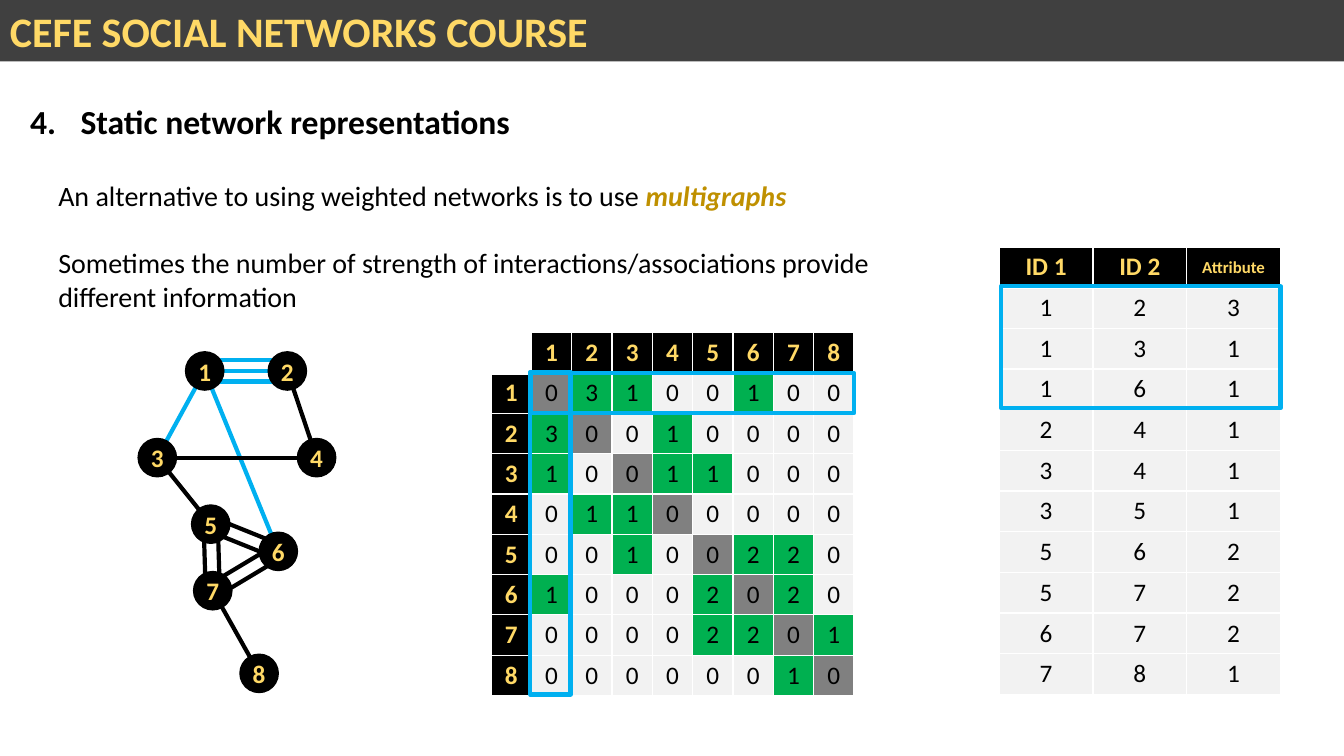
import math

import lxml.etree
import pptx
import pptx.dml.color
import pptx.enum.shapes
import pptx.enum.text
import pptx.oxml.ns
import pptx.util

PX = 9144  # EMU per px, 100 px to the inch
FONT = "Calibri"
BLACK, WHITE, GOLD, BLUE = "000000", "FFFFFF", "FFD966", "00B0F0"
GREEN, GREY, PALE = "00B050", "808080", "F2F2F2"
RECT = pptx.enum.shapes.MSO_SHAPE.RECTANGLE
OVAL = pptx.enum.shapes.MSO_SHAPE.OVAL
CENTER = pptx.enum.text.PP_ALIGN.CENTER
LEFT = pptx.enum.text.PP_ALIGN.LEFT
MIDDLE = pptx.enum.text.MSO_ANCHOR.MIDDLE

# Centre of each network node
NODES = {1: (203, 368), 2: (285, 368), 3: (156, 454), 4: (314, 454),
         5: (209, 520), 6: (276, 547), 7: (211, 586), 8: (257, 668)}
# Node, node, number of links
EDGES = [(1, 2, 3), (1, 3, 1), (1, 6, 1), (2, 4, 1), (3, 4, 1),
         (3, 5, 1), (5, 6, 2), (5, 7, 2), (6, 7, 2), (7, 8, 1)]


def px(n):
    return pptx.util.Emu(round(n * PX))


def rgb(color):
    return pptx.dml.color.RGBColor.from_string(color)


def sub(parent, tag, **attrs):
    return lxml.etree.SubElement(parent, pptx.oxml.ns.qn(tag), attrs)


def style(r, size, color, bold=False, italic=False):
    r.font.name = FONT
    r.font.size = pptx.util.Pt(size)
    r.font.color.rgb = rgb(color)
    r.font.bold = bold
    r.font.italic = italic


def add_shape(s, kind, x, y, w, h, fill=None, line=None, weight=1):
    sp = s.shapes.add_shape(kind, px(x), px(y), px(w), px(h))
    sp.shadow.inherit = False
    if fill:
        sp.fill.solid()
        sp.fill.fore_color.rgb = rgb(fill)
    else:
        sp.fill.background()
    if line:
        sp.line.color.rgb = rgb(line)
        sp.line.width = pptx.util.Pt(weight)
    else:
        sp.line.fill.background()
    return sp


def add_text(s, x, y, w, h):
    tf = s.shapes.add_textbox(px(x), px(y), px(w), px(h)).text_frame
    tf.word_wrap = True
    return tf


def label(tf, text, size, align):
    tf.text = text
    tf.vertical_anchor = MIDDLE
    tf.paragraphs[0].alignment = align
    style(tf.paragraphs[0].runs[0], size, GOLD, bold=True)


def add_line(s, x1, y1, x2, y2, color):
    c = s.shapes.add_connector(pptx.enum.shapes.MSO_CONNECTOR.STRAIGHT,
                               px(x1), px(y1), px(x2), px(y2))
    c.line.color.rgb = rgb(color)
    c.line.width = pptx.util.Pt(3)
    sub(c._element.spPr, "a:effectLst")


def add_edge(s, a, b, count):
    """Draw parallel links, spread evenly on both sides of the centre line."""
    (x1, y1), (x2, y2) = NODES[a], NODES[b]
    length = math.hypot(x2 - x1, y2 - y1)
    step = 7 * count / max(count - 1, 1)
    for i in range(count):
        shift = (i - (count - 1) / 2) * step
        dx, dy = -(y2 - y1) / length * shift, (x2 - x1) / length * shift
        add_line(s, x1 + dx, y1 + dy, x2 + dx, y2 + dy, BLUE if a == 1 else BLACK)


def add_borders(cell, bottom):
    tcPr = cell._tc.get_or_add_tcPr()
    for i, side in enumerate("LRTB"):
        weight = bottom if side == "B" else 1
        ln = lxml.etree.Element(pptx.oxml.ns.qn("a:ln" + side), w=str(weight * 12700))
        sub(sub(ln, "a:solidFill"), "a:srgbClr", val=WHITE)
        tcPr.insert(i, ln)


def add_table(s, x, y, w, h, rows, fill_of):
    """fill_of(row, column) gives the fill; black cells are headers."""
    shape = s.shapes.add_table(len(rows), len(rows[0]), px(x), px(y), px(w), px(h))
    t = shape.table
    for i, row in enumerate(rows):
        t.rows[i].height = px(h / len(rows))
        for j, value in enumerate(row):
            t.columns[j].width = px(w / len(row))
            cell = t.cell(i, j)
            fill = fill_of(i, j)
            cell.fill.solid()
            cell.fill.fore_color.rgb = rgb(fill)
            cell.margin_top = cell.margin_bottom = px(4)
            cell.vertical_anchor = MIDDLE
            add_borders(cell, 3 if i == 0 else 1)
            p = cell.text_frame.paragraphs[0]
            p.text = str(value)
            p.alignment = CENTER
            header = fill == BLACK
            for r in p.runs:
                style(r, 12 if value == "Attribute" else 18,
                      GOLD if header else BLACK, bold=header)


def add_network(s):
    for edge in EDGES:
        add_edge(s, *edge)
    for node, (x, y) in NODES.items():
        sp = add_shape(s, OVAL, x - 19, y - 19, 38, 38, BLACK, BLACK)
        tf = sp.text_frame
        tf.margin_left = tf.margin_right = tf.margin_top = tf.margin_bottom = 0
        tf.word_wrap = False
        label(tf, str(node), 18, CENTER)


def add_matrix(s):
    links = {pair: n for a, b, n in EDGES for pair in ((a, b), (b, a))}
    rows = [["", *NODES]]
    rows += [[a] + [links.get((a, b), 0) for b in NODES] for a in NODES]

    def fill_of(i, j):
        if i == 0 or j == 0:
            return BLACK if i or j else WHITE
        if i == j:
            return GREY
        return GREEN if rows[i][j] else PALE

    add_table(s, 487, 330, 360, 360, rows, fill_of)


def add_edge_list(s):
    rows = [("ID 1", "ID 2", "Attribute"), *EDGES]
    add_table(s, 991, 245, 279, 444, rows, lambda i, j: PALE if i else BLACK)


def main():
    prs = pptx.Presentation()
    prs.slide_width, prs.slide_height = px(1333), px(750)
    s = prs.slides.add_slide(prs.slide_layouts[6])

    # Title bar
    bar = add_shape(s, RECT, 0, 0, 1333, 61, "404040")
    label(bar.text_frame, "CEFE SOCIAL NETWORKS COURSE", 30, LEFT)

    # Numbered heading
    p = add_text(s, 20, 95, 1278, 91).paragraphs[0]
    p.text = "Static network representations"
    style(p.runs[0], 24, BLACK, bold=True)
    pPr = p._p.get_or_add_pPr()
    pPr.set("marL", str(px(50)))
    pPr.set("indent", str(px(-50)))
    sub(pPr, "a:buFont", typeface="+mj-lt")
    sub(pPr, "a:buAutoNum", type="arabicPeriod", startAt="4")

    # Body text
    tf = add_text(s, 48, 172, 926, 145)
    p = tf.paragraphs[0]
    p.text = "An alternative to using weighted networks is to use "
    style(p.runs[0], 20, BLACK)
    r = p.add_run()
    r.text = "multigraphs"
    style(r, 20, "BF9000", bold=True, italic=True)
    p = tf.add_paragraph()
    p.text = ("Sometimes the number of strength of interactions/associations "
              "provide different information")
    p.space_before = pptx.util.Pt(24)
    style(p.runs[0], 20, BLACK)

    # Three representations of the network
    add_network(s)
    add_matrix(s)
    add_edge_list(s)

    # Frames around the links of node 1
    for box in ((527, 370, 320, 40), (526, 369, 40, 320), (993, 284, 277, 121)):
        add_shape(s, RECT, *box, line=BLUE, weight=3)

    prs.save("out.pptx")


if __name__ == "__main__":
    main()
